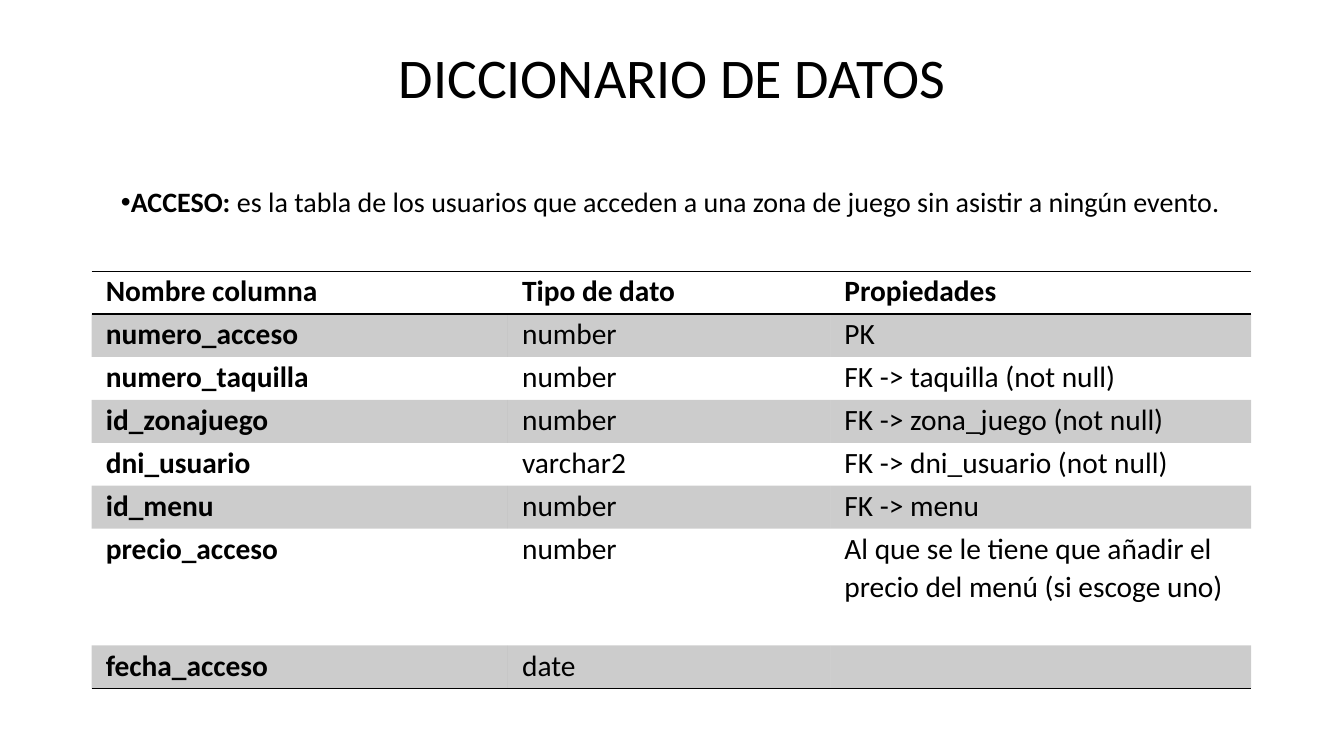
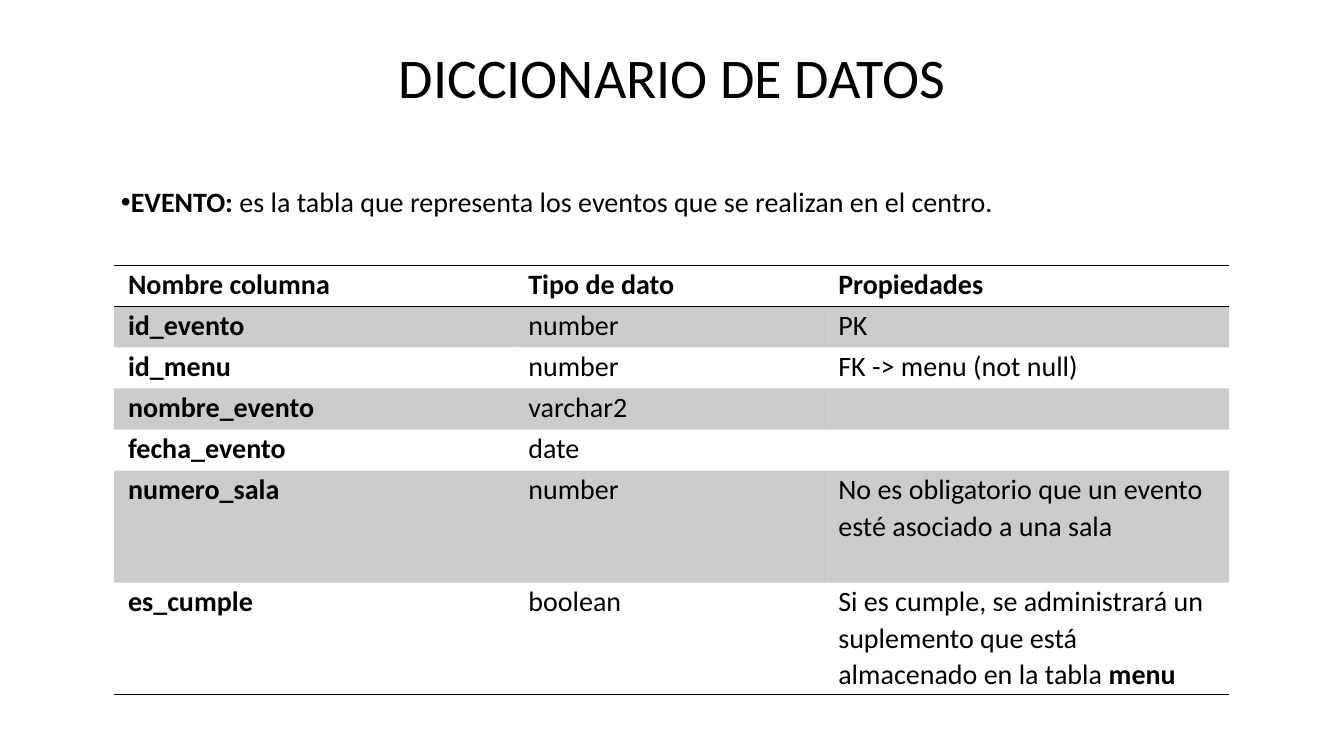
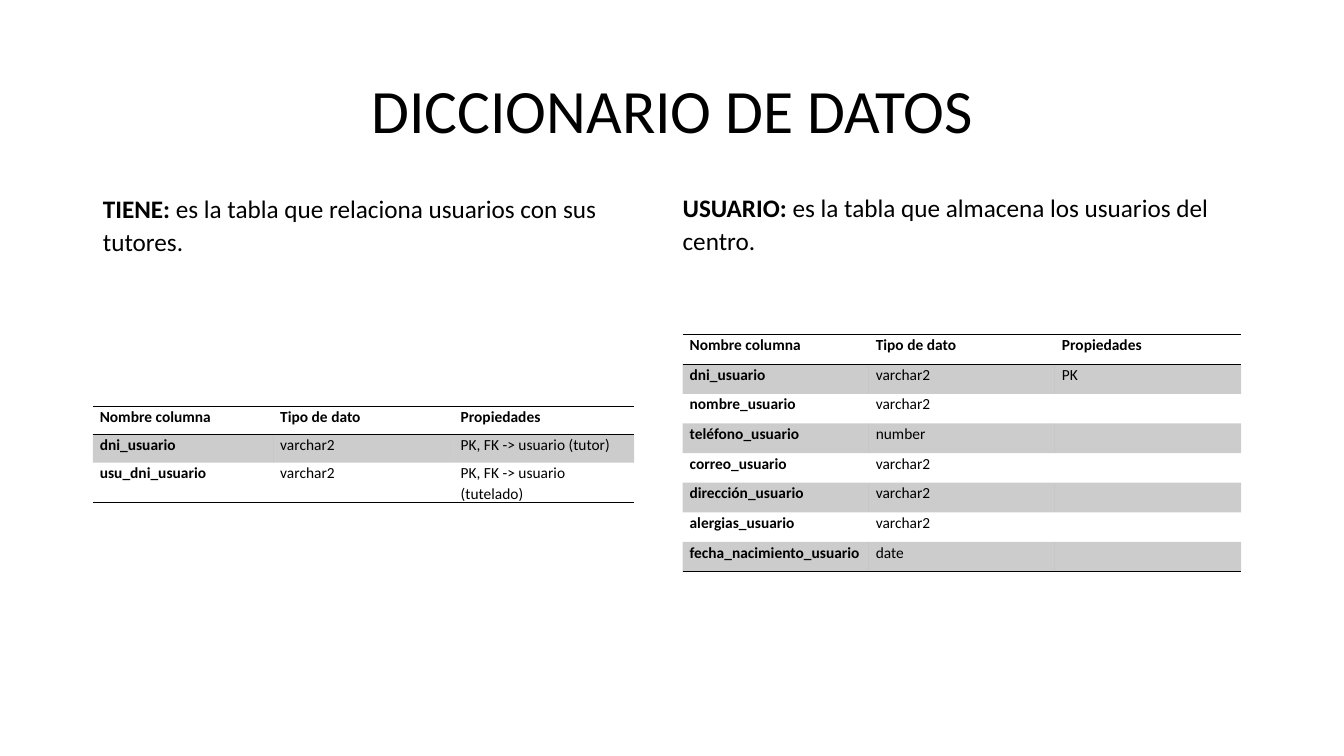
from pptx import Presentation, util as u
from pptx.dml.color import RGBColor
from pptx.enum import text
from pptx.oxml import parse_xml
from pptx.oxml.ns import nsdecls, qn

THEME = {
    "font": "Calibri", "ink": "000000", "band_alpha": 20, "rule": 1,
    "slide": (13.33, 7.5),
    "plain_table": "{2D5ABB26-0587-4C30-8999-92F81FD0307C}",
}

# Layouts: index in the template, boxes by placeholder, and text format
WIDE = {
    "index": 1, "title_size": 40, "body_size": 20, "bullet": True,
    "boxes": {0: (1.1, 0.19, 11.13, 1.22), 1: (1.1, 1.6, 11.13, 0.84)},
    "line_spacing": 0.9, "anchor": text.MSO_ANCHOR.MIDDLE,
    "fit": text.MSO_AUTO_SIZE.NONE,
    "inset": 0.14, "shares": (0.359, 0.278, 0.363),
}
PAIR = {
    "index": 3, "title_size": 44, "body_size": 18, "bullet": False,
    "boxes": {0: (0.92, 0.4, 11.5, 1.45), 1: (0.92, 1.85, 5.75, 0.73),
              2: (6.67, 1.84, 5.75, 0.73)},
    "line_spacing": 1.07, "anchor": text.MSO_ANCHOR.TOP,
    "fit": text.MSO_AUTO_SIZE.SHAPE_TO_FIT_TEXT,
    "inset": 0.07, "shares": (1 / 3, 1 / 3, 1 / 3),
}

# Content: ** marks bold text; "tall" gives the height of taller rows
TITLE = "DICCIONARIO DE DATOS"
HEADER = ("Nombre columna", "**Tipo de dato**", "**Propiedades**")
SLIDES = [
    (WIDE, [{
        "body": "**ACCESO:** es la tabla de los usuarios que acceden a una zona "
                "de juego sin asistir a ningún evento.",
        "box": (0.91, 2.69, 11.5, 4.14), "size": 21, "tall": {6: 1.16},
        "rows": [
            ("numero_acceso", "number", "PK"),
            ("numero_taquilla", "number", "FK -> taquilla (not null)"),
            ("id_zonajuego", "number", "FK -> zona_juego (not null)"),
            ("dni_usuario", "varchar2", "FK -> dni_usuario (not null)"),
            ("id_menu", "number", "FK -> menu"),
            ("precio_acceso", "number",
             "Al que se le tiene que añadir el precio del menú (si escoge uno)"),
            ("fecha_acceso", "date", ""),
        ]}]),
    (WIDE, [{
        "body": "**EVENTO:** es la tabla que representa los eventos que se "
                "realizan en el centro.",
        "box": (1.13, 2.63, 11.06, 4.26), "size": 20, "tall": {5: 1.11, 6: 1.11},
        "rows": [
            ("id_evento", "number", "PK"),
            ("id_menu", "number", "FK -> menu (not null)"),
            ("nombre_evento", "varchar2", ""),
            ("fecha_evento", "date", ""),
            ("numero_sala", "number",
             "No es obligatorio que un evento esté asociado a una sala"),
            ("es_cumple", "boolean",
             "Si es cumple, se administrará un suplemento que está almacenado "
             "en la tabla **menu**"),
        ]}]),
    (PAIR, [{
        "body": "**TIENE:** es la tabla que relaciona usuarios con sus tutores.",
        "box": (0.92, 4.03, 5.37, 0.95), "size": 11, "tall": {2: 0.39},
        "rows": [
            ("dni_usuario", "varchar2", "PK, FK -> usuario (tutor)"),
            ("usu_dni_usuario", "varchar2", "PK, FK -> usuario (tutelado)"),
        ]}, {
        "body": "**USUARIO: **es la tabla que almacena los usuarios del centro.",
        "box": (6.77, 3.32, 5.54, 2.35), "size": 11, "tall": {},
        "rows": [
            ("dni_usuario", "varchar2", "PK"),
            ("nombre_usuario", "varchar2", ""),
            ("teléfono_usuario", "number", ""),
            ("correo_usuario", "varchar2", ""),
            ("dirección_usuario", "varchar2", ""),
            ("alergias_usuario", "varchar2", ""),
            ("fecha_nacimiento_usuario", "date", ""),
        ]}]),
]


def apply(target, **values):
    for name, value in values.items():
        setattr(target, name, value)


def place(shape, box):
    lengths = map(u.Inches, box)
    apply(shape, **dict(zip(("left", "top", "width", "height"), lengths)))


def write(frame, marked, size, **paragraph_format):
    """Fill the first paragraph, setting the parts between ** in bold."""
    paragraph = frame.paragraphs[0]
    apply(paragraph, space_before=u.Pt(0), **paragraph_format)
    for number, part in enumerate(marked.split("**")):
        if part:
            run = paragraph.add_run()
            run.text = part
            apply(run.font, size=u.Pt(size), name=THEME["font"], bold=number % 2 == 1)
            run.font.color.rgb = RGBColor.from_string(THEME["ink"])
    if not marked:
        # An empty cell keeps the type size, so its row does not grow
        paragraph._p.append(parse_xml(
            f'<a:endParaRPr {nsdecls("a")} sz="{size * 100}"/>'))
    return paragraph


def write_body(shape, marked, layout):
    frame = shape.text_frame
    apply(frame, word_wrap=True, auto_size=layout["fit"],
          vertical_anchor=layout["anchor"])
    paragraph = write(frame, marked, layout["body_size"],
                      line_spacing=layout["line_spacing"], space_after=u.Pt(8))
    properties = paragraph._p.get_or_add_pPr()
    properties.set("marL", "0")
    properties.set("indent", str(u.Inches(-0.25) if layout["bullet"] else 0))
    bullet = 'buChar {} char="•"' if layout["bullet"] else "buNone {}"
    properties.append(parse_xml(f'<a:{bullet.format(nsdecls("a"))}/>'))


def add_rule(cell, side):
    cell._tc.get_or_add_tcPr().append(parse_xml(
        f'<a:ln{side} {nsdecls("a")} w="{u.Pt(THEME["rule"])}"><a:solidFill>'
        f'<a:srgbClr val="{THEME["ink"]}"/></a:solidFill></a:ln{side}>'))


def paint(cell, banded):
    if not banded:
        cell.fill.background()
        return
    cell.fill.solid()
    cell.fill.fore_color.rgb = RGBColor.from_string(THEME["ink"])
    color = cell._tc.tcPr.find(qn("a:solidFill")).find(qn("a:srgbClr"))
    color.append(parse_xml(
        f'<a:alpha {nsdecls("a")} val="{THEME["band_alpha"] * 1000}"/>'))


def add_dictionary(slide, entry, layout):
    rows = [HEADER] + entry["rows"]
    last = len(rows) - 1
    box, tall = entry["box"], entry["tall"]
    frame = slide.shapes.add_table(len(rows), len(HEADER), *map(u.Inches, box))
    table = frame.table
    apply(table, first_row=False, horz_banding=False)
    table._tbl.tblPr.find(qn("a:tableStyleId")).text = THEME["plain_table"]

    for column, share in zip(table.columns, layout["shares"]):
        column.width = u.Inches(box[2] * share)
    # Ordinary rows share the height left by the taller ones
    ordinary = (box[3] - sum(tall.values())) / (len(rows) - len(tall))
    inset = u.Inches(layout["inset"])
    for i, values in enumerate(rows):
        table.rows[i].height = u.Inches(tall.get(i, ordinary))
        for j, value in enumerate(values):
            cell = table.cell(i, j)
            apply(cell, margin_left=inset, margin_right=inset,
                  margin_top=0, margin_bottom=0)
            write(cell.text_frame, f"**{value}**" if j == 0 else value,
                  entry["size"], line_spacing=1.07, space_after=u.Pt(8))
            if i == 0:
                add_rule(cell, "T")
            if i in (0, last):
                add_rule(cell, "B")
            paint(cell, banded=i % 2 == 1)


def main():
    presentation = Presentation()
    presentation.slide_width, presentation.slide_height = map(u.Inches, THEME["slide"])

    # Shared placeholder positions
    for layout in (WIDE, PAIR):
        for shape in presentation.slide_layouts[layout["index"]].placeholders:
            box = layout["boxes"].get(shape.placeholder_format.idx)
            if box:
                place(shape, box)

    for layout, entries in SLIDES:
        slide = presentation.slides.add_slide(
            presentation.slide_layouts[layout["index"]])
        title = slide.shapes.title.text_frame
        apply(title, vertical_anchor=text.MSO_ANCHOR.MIDDLE,
              auto_size=text.MSO_AUTO_SIZE.NONE)
        write(title, TITLE, layout["title_size"], line_spacing=0.9,
              alignment=text.PP_ALIGN.CENTER)
        for number, entry in enumerate(entries, start=1):
            write_body(slide.placeholders[number], entry["body"], layout)
            add_dictionary(slide, entry, layout)

    presentation.save("out.pptx")


if __name__ == "__main__":
    main()
